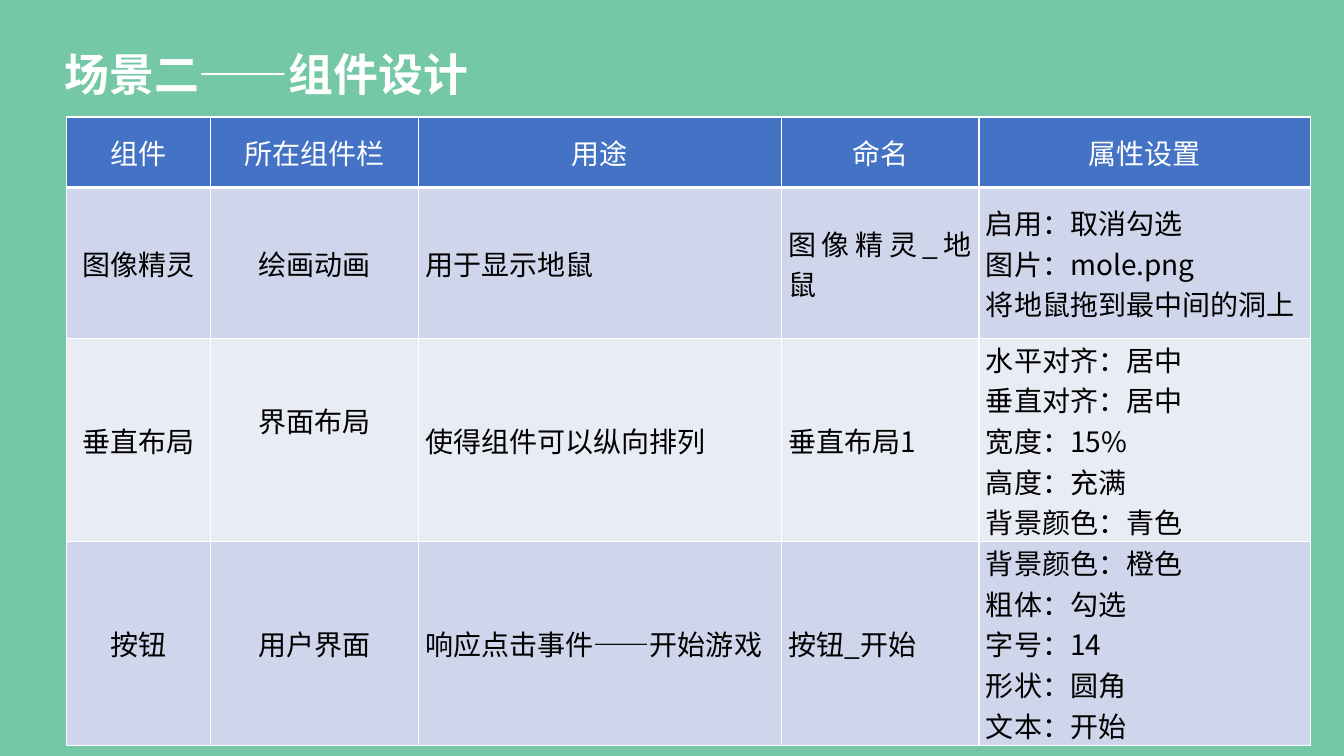
from lxml.etree import SubElement
from pptx import Presentation
from pptx.dml.color import RGBColor
from pptx.enum.lang import MSO_LANGUAGE_ID
from pptx.enum.text import MSO_ANCHOR, PP_ALIGN
from pptx.oxml.ns import qn
from pptx.util import Inches, Pt

HEADERS = ["组件", "所在组件栏", "用途", "命名", "属性设置"]
ROWS = [
    ["图像精灵", "绘画动画", "用于显示地鼠", "图像精灵_地鼠",
     "启用：取消勾选\n图片：mole.png\n将地鼠拖到最中间的洞上"],
    ["垂直布局", "界面布局", "使得组件可以纵向排列", "垂直布局1",
     "水平对齐：居中\n垂直对齐：居中\n宽度：15%\n高度：充满\n背景颜色：青色"],
    ["按钮", "用户界面", "响应点击事件——开始游戏", "按钮_开始",
     "背景颜色：橙色\n粗体：勾选\n字号：14\n形状：圆角\n文本：开始"],
]
COL_WIDTHS = [1.43, 2.06, 3.6, 1.96, 3.29]
ROW_HEIGHTS = [0.7, 1.5, 1.58, 1.58]


def rgb(hex_text):
    return RGBColor.from_string(hex_text)


def write(tf, text, size=20, color="000000", bold=False,
          align=PP_ALIGN.LEFT, line_spacing=None, font="Noto Sans CJK SC"):
    """Fill a text frame, one paragraph per line of text."""
    for i, line in enumerate(text.split("\n")):
        p = tf.paragraphs[0] if i == 0 else tf.add_paragraph()
        p.alignment = align
        p.line_spacing = line_spacing
        r = p.add_run()
        r.text = line
        r.font.size, r.font.bold, r.font.name = Pt(size), bold, font
        r.font.color.rgb = rgb(color)
        r.font.language_id = MSO_LANGUAGE_ID.SIMPLIFIED_CHINESE
        latin = r.font._element.find(qn("a:latin"))
        ea = latin.makeelement(qn("a:ea"), {"typeface": font})
        latin.addnext(ea)


class SlideBuilder:
    white, header = "FFFFFF", "4472C4"
    bands = ["CFD5EA", "E9EBF5"]

    def __init__(self, prs, background):
        self.slide = prs.slides.add_slide(prs.slide_layouts[5])
        fill = self.slide.background.fill
        fill.solid()
        fill.fore_color.rgb = rgb(background)

    def title(self, text, left, top, width, height):
        sp = self.slide.shapes.title
        sp.left, sp.top = Inches(left), Inches(top)
        sp.width, sp.height = Inches(width), Inches(height)
        tf = sp.text_frame
        tf.word_wrap = True
        tf.vertical_anchor = MSO_ANCHOR.TOP
        write(tf, text, size=32, color=self.white, bold=True, line_spacing=0.9)

    def borders(self, cell, bottom=1):
        tc_pr = cell._tc.get_or_add_tcPr()
        for side, width in zip("LRTB", (1, 1, 1, bottom)):
            ln = SubElement(tc_pr, qn(f"a:ln{side}"), w=str(Pt(width)))
            solid = SubElement(ln, qn("a:solidFill"))
            SubElement(solid, qn("a:srgbClr"), val=self.white)

    def cell(self, cell, text, fill, margins, bottom=1, **fmt):
        self.borders(cell, bottom)
        cell.fill.solid()
        cell.fill.fore_color.rgb = rgb(fill)
        cell.vertical_anchor = MSO_ANCHOR.MIDDLE
        side, edge = (Inches(m) for m in margins)
        cell.margin_left = cell.margin_right = side
        cell.margin_top = cell.margin_bottom = edge
        write(cell.text_frame, text, **fmt)

    def table(self, headers, rows, left, top, widths, heights):
        table = self.slide.shapes.add_table(
            len(heights), len(widths), Inches(left), Inches(top),
            Inches(sum(widths)), Inches(sum(heights))).table
        for column, width in zip(table.columns, widths):
            column.width = Inches(width)
        for row, height in zip(table.rows, heights):
            row.height = Inches(height)
        # Header row
        for c, text in enumerate(headers):
            self.cell(table.cell(0, c), text, self.header, (0.1, 0.05),
                      bottom=3, color=self.white, align=PP_ALIGN.CENTER)
        # Banded body rows: first two columns centred, the rest justified
        for r, row in enumerate(rows):
            for c, text in enumerate(row):
                self.cell(table.cell(r + 1, c), text, self.bands[r % 2],
                          (0.11, 0.05) if c == 1 else (0.07, 0),
                          align=PP_ALIGN.CENTER if c < 2 else PP_ALIGN.JUSTIFY)
        return table


def main():
    prs = Presentation()
    prs.slide_width, prs.slide_height = Inches(13.33), Inches(7.5)
    s = SlideBuilder(prs, "74C8A6")
    s.title("场景二——组件设计", 0.54, 0.47, 6.13, 0.69)
    table = s.table(HEADERS, ROWS, 0.66, 1.16, COL_WIDTHS, ROW_HEIGHTS)
    # The layout category sits above the middle of its row
    table.cell(2, 1).margin_bottom = Inches(0.45)
    prs.save("out.pptx")


if __name__ == "__main__":
    main()
